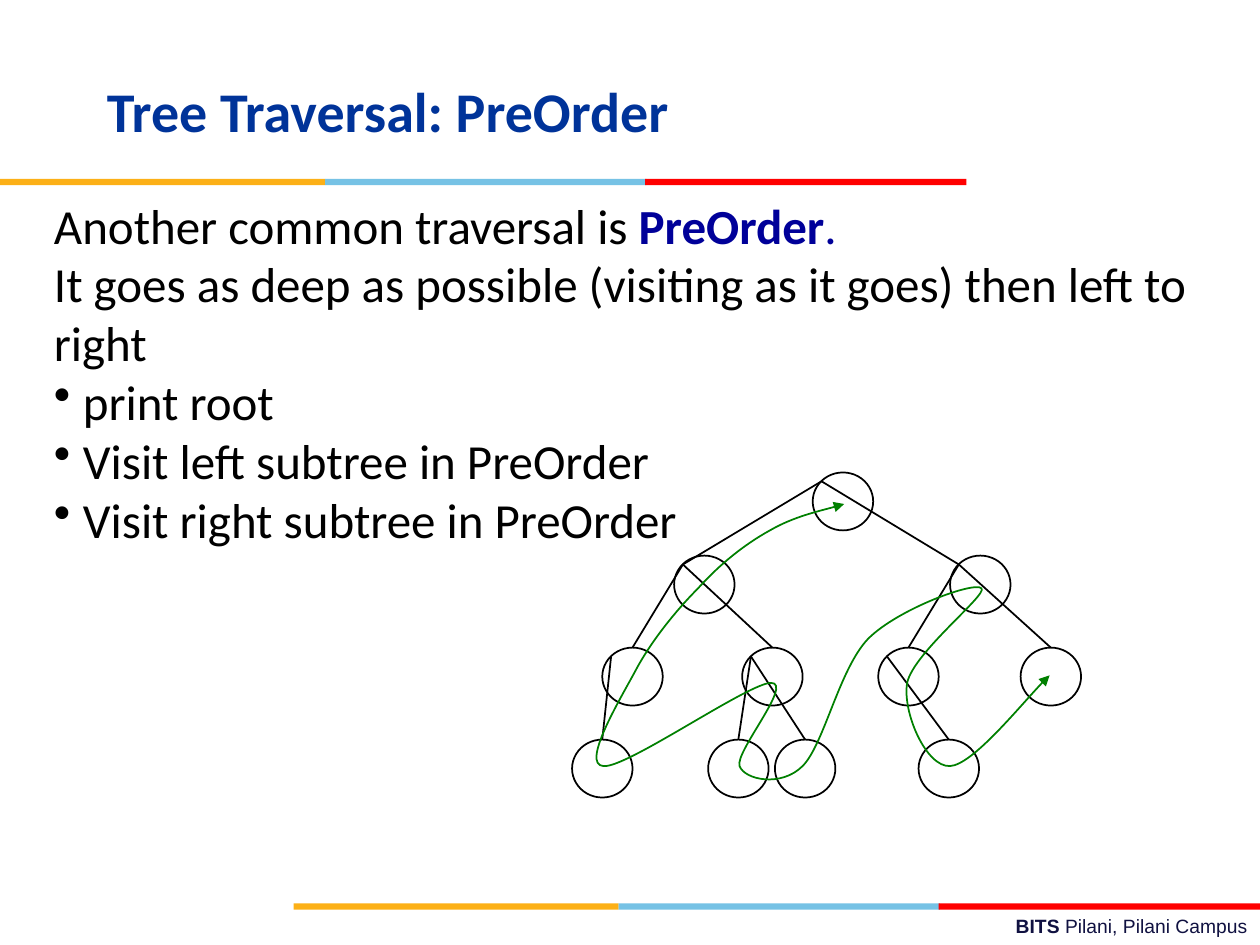
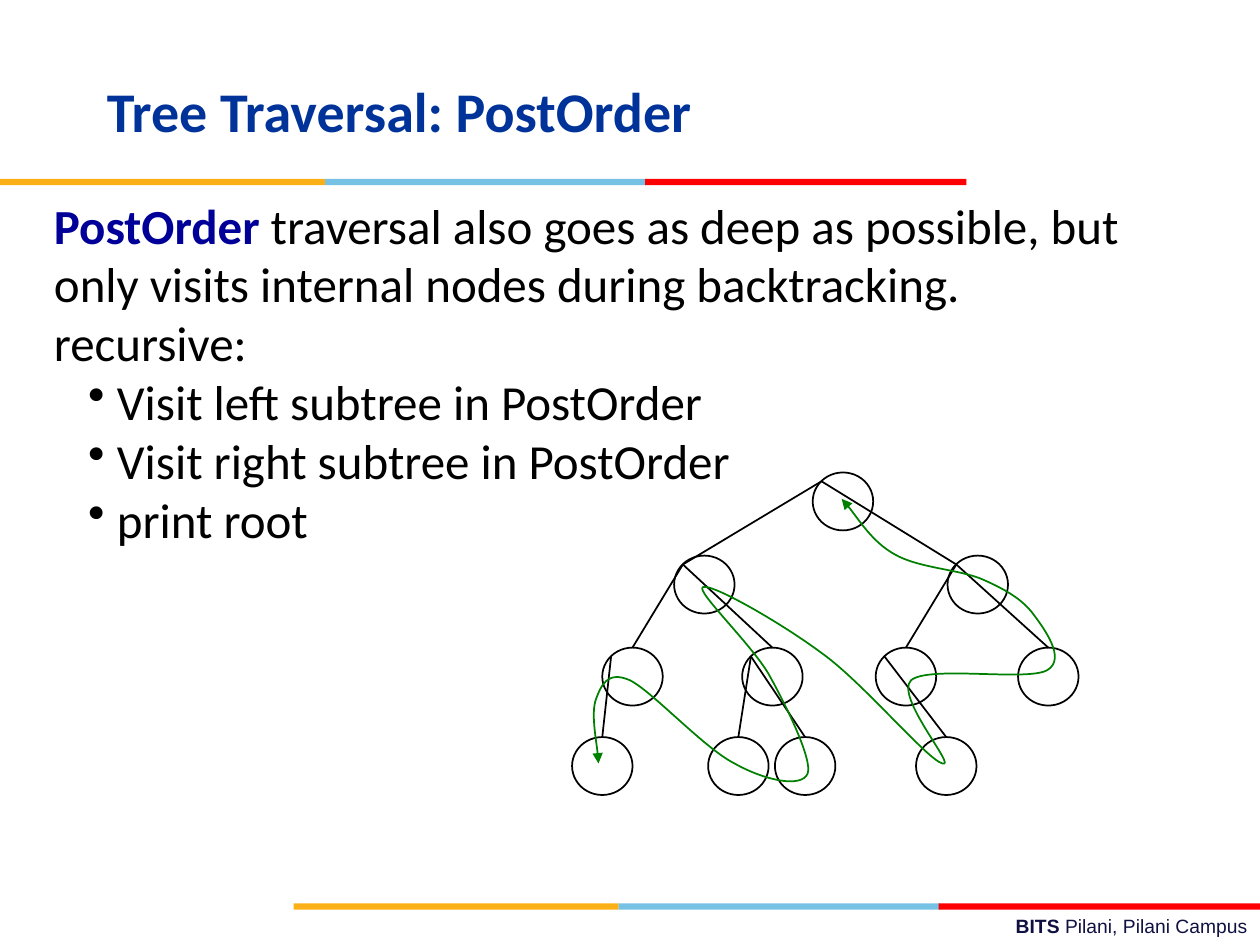
from lxml import etree
from pptx import Presentation
from pptx.dml.color import RGBColor
from pptx.enum import shapes, text
from pptx.oxml import ns
from pptx.util import Inches, Pt

BLACK, GREEN, NAVY = "000000", "008000", "000099"
TITLE_BLUE, FOOTER_INK = "003399", "101141"
BAND = [("FCB017", 0, 2.58), ("76C2E5", 2.58, 2.55), ("FF0000", 5.12, 2.55)]
BAND_HEIGHT = 0.05

TITLE_BOX = (0.75, 0.25, 8.5, 1.25)
BODY_BOX = (0.33, 1.5, 9.25, 3)
FOOTER_BOX = (3.58, 7.21, 6.42, 0.29)
TREE_ORIGIN = (4, 3)

NODE_WIDTH, NODE_HEIGHT, EDGE_INSET = 0.48, 0.46, 0.07
LEVEL_TOPS = [0.75, 1.41, 2.14]
NODES = {
    "root": (2.45, 0), "L": (1.35, 1), "R": (3.54, 1),
    "LL": (0.78, 2), "LR": (1.89, 2), "RL": (2.97, 2), "RR": (4.1, 2),
    "LLL": (0.54, 3), "LRL": (1.62, 3), "LRR": (2.15, 3), "RLR": (3.29, 3),
}

PREORDER_ROUTE = [
    (2.7, 1),
    (2.61, 1.03), (2.3, 1.1), (2.11, 1.21),
    (1.91, 1.32), (1.71, 1.48), (1.54, 1.67),
    (1.36, 1.85), (1.16, 2.1), (1.04, 2.33),
    (0.91, 2.57), (0.61, 3.07), (0.79, 3.08),
    (0.97, 3.1), (1.94, 2.42), (2.12, 2.42),
    (2.3, 2.42), (1.83, 2.97), (1.87, 3.08),
    (1.91, 3.19), (2.2, 3.25), (2.37, 3.08),
    (2.54, 2.91), (2.66, 2.31), (2.89, 2.07),
    (3.13, 1.83), (3.74, 1.61), (3.79, 1.67),
    (3.84, 1.72), (3.25, 2.18), (3.2, 2.42),
    (3.16, 2.65), (3.35, 3.09), (3.54, 3.08),
    (3.72, 3.07), (4.17, 2.51), (4.33, 2.36),
]
POSTORDER_ROUTE = [
    (0.75, 3.06),
    (0.75, 2.98), (0.69, 2.66), (0.73, 2.55),
    (0.77, 2.44), (0.82, 2.32), (1, 2.4),
    (1.18, 2.49), (1.59, 2.94), (1.83, 3.06),
    (2.06, 3.19), (2.36, 3.26), (2.41, 3.14),
    (2.45, 3.03), (2.24, 2.6), (2.1, 2.35),
    (1.96, 2.11), (1.51, 1.68), (1.58, 1.66),
    (1.65, 1.63), (2.21, 1.95), (2.53, 2.19),
    (2.85, 2.42), (3.36, 3.03), (3.48, 3.06),
    (3.6, 3.1), (3.1, 2.53), (3.23, 2.4),
    (3.37, 2.28), (4.15, 2.41), (4.31, 2.32),
    (4.47, 2.23), (4.28, 1.98), (4.19, 1.86),
    (4.1, 1.75), (3.98, 1.68), (3.8, 1.6),
    (3.62, 1.52), (3.29, 1.51), (3.1, 1.4),
    (2.92, 1.3), (2.77, 1.05), (2.68, 0.96),
]

PREORDER_BODY = [
    (None, [("Another common traversal is ", BLACK, False),
            ("PreOrder", NAVY, True), (".", NAVY, False)]),
    (None, [("It goes as deep as possible (visiting as it goes) "
             "then left to right", BLACK, False)]),
    (0.23, [("print root", BLACK, False)]),
    (0.23, [("Visit left subtree in PreOrder", BLACK, False)]),
    (0.23, [("Visit right subtree in PreOrder", BLACK, False)]),
]
POSTORDER_BODY = [
    (None, [("PostOrder", NAVY, True),
            (" traversal also goes as deep as possible, but only visits "
             "internal nodes during backtracking.", BLACK, False)]),
    (None, [("recursive:", BLACK, False)]),
    (0.5, [("Visit left subtree in PostOrder", BLACK, False)]),
    (0.5, [("Visit right subtree in PostOrder", BLACK, False)]),
    (0.5, [("print root", BLACK, False)]),
]


def color(hex_string):
    return RGBColor.from_string(hex_string)


def inches(*lengths):
    return [Inches(length) for length in lengths]


def add_text_frame(slide, box):
    frame = slide.shapes.add_textbox(*inches(*box)).text_frame
    frame.word_wrap = True
    return frame


def write_runs(paragraph, runs, font_name, size):
    paragraph.font.name = font_name
    paragraph.font.size = Pt(size)
    for words, ink, bold in runs:
        run = paragraph.add_run()
        run.text = words
        run.font.color.rgb = color(ink)
        run.font.bold = bold


def set_bullet(paragraph, margin, hang=0.23):
    properties = paragraph._p.get_or_add_pPr()
    properties.set("marL", str(Inches(margin)))
    properties.set("indent", str(-Inches(hang)))
    bullet = etree.SubElement(properties, ns.qn("a:buChar"))
    bullet.set("char", "•")


def add_band(slide, left, top):
    for fill, offset, width in BAND:
        stripe = slide.shapes.add_shape(
            shapes.MSO_SHAPE.RECTANGLE,
            *inches(left + offset, top, width, BAND_HEIGHT))
        stripe.shadow.inherit = False
        stripe.fill.solid()
        stripe.fill.fore_color.rgb = color(fill)
        stripe.line.fill.background()


def add_footer(slide, box):
    paragraph = add_text_frame(slide, box).paragraphs[0]
    paragraph.alignment = text.PP_ALIGN.RIGHT
    write_runs(paragraph, [("BITS ", FOOTER_INK, True),
                           ("Pilani, Pilani Campus", FOOTER_INK, False)],
               "Arial", 11)


def add_title(slide, box, title):
    frame = add_text_frame(slide, box)
    frame.vertical_anchor = text.MSO_ANCHOR.MIDDLE
    write_runs(frame.paragraphs[0], [(title, TITLE_BLUE, True)], "Calibri", 32)


def add_body(slide, box, body):
    frame = add_text_frame(slide, box)
    for index, (margin, runs) in enumerate(body):
        paragraph = frame.add_paragraph() if index else frame.paragraphs[0]
        if margin is not None:
            set_bullet(paragraph, margin)
        write_runs(paragraph, runs, "Calibri", 28)


def set_line(outlined, ink):
    outlined.line.color.rgb = color(ink)
    outlined.line.width = Pt(1)


def add_tree(slide, origin, leaf_top, right_shift):
    left, top = origin
    level_tops = LEVEL_TOPS + [leaf_top]
    corners = {
        name: (left + x + (right_shift if name.startswith("R") else 0),
               top + level_tops[level])
        for name, (x, level) in NODES.items()}
    for name, (x, y) in corners.items():
        node = slide.shapes.add_shape(
            shapes.MSO_SHAPE.OVAL, *inches(x, y, NODE_WIDTH, NODE_HEIGHT))
        node.shadow.inherit = False
        node.fill.background()
        set_line(node, BLACK)
        if name == "root":
            continue
        parent_x, parent_y = corners[name[:-1] or "root"]
        if len(name) == 1:
            end = (x + EDGE_INSET, y + EDGE_INSET)
        else:
            end = (x + NODE_WIDTH / 2, y)
        edge = slide.shapes.add_connector(
            shapes.MSO_CONNECTOR.STRAIGHT,
            *inches(parent_x + EDGE_INSET, parent_y + EDGE_INSET, *end))
        set_line(edge, BLACK)
        etree.SubElement(edge._element.spPr, ns.qn("a:effectLst"))


def add_route(slide, origin, points):
    left, top = origin
    start, *rest = [inches(left + x, top + y) for x, y in points]
    builder = slide.shapes.build_freeform(*start)
    builder.add_line_segments(rest, close=False)
    route = builder.convert_to_shape()
    route.shadow.inherit = False
    route.fill.background()
    set_line(route, GREEN)

    outline = next(route._element.iter(ns.qn("a:path")))
    segments = outline.findall(ns.qn("a:lnTo"))
    for first in range(0, len(segments), 3):
        curve = etree.SubElement(outline, ns.qn("a:cubicBezTo"))
        for segment in segments[first:first + 3]:
            curve.append(segment[0])
            outline.remove(segment)

    line = route._element.spPr.find(ns.qn("a:ln"))
    for end in ("a:headEnd", "a:tailEnd"):
        etree.SubElement(line, ns.qn(end)).set("type", "triangle")


def add_traversal_slide(deck, title, body, route, leaf_top, right_shift):
    slide = deck.slides.add_slide(deck.slide_layouts[6])
    add_footer(slide, FOOTER_BOX)
    add_band(slide, 2.33, 7.17)
    add_band(slide, 0, 1.42)
    add_body(slide, BODY_BOX, body)
    add_title(slide, TITLE_BOX, title)
    add_tree(slide, TREE_ORIGIN, leaf_top, right_shift)
    add_route(slide, TREE_ORIGIN, route)


def main():
    deck = Presentation()
    deck.slide_width, deck.slide_height = inches(10, 7.5)
    add_traversal_slide(deck, "Tree Traversal: PreOrder", PREORDER_BODY,
                        PREORDER_ROUTE, leaf_top=2.87, right_shift=0)
    add_traversal_slide(deck, "Tree Traversal: PostOrder", POSTORDER_BODY,
                        POSTORDER_ROUTE, leaf_top=2.85, right_shift=-0.02)
    deck.save("out.pptx")


if __name__ == "__main__":
    main()
